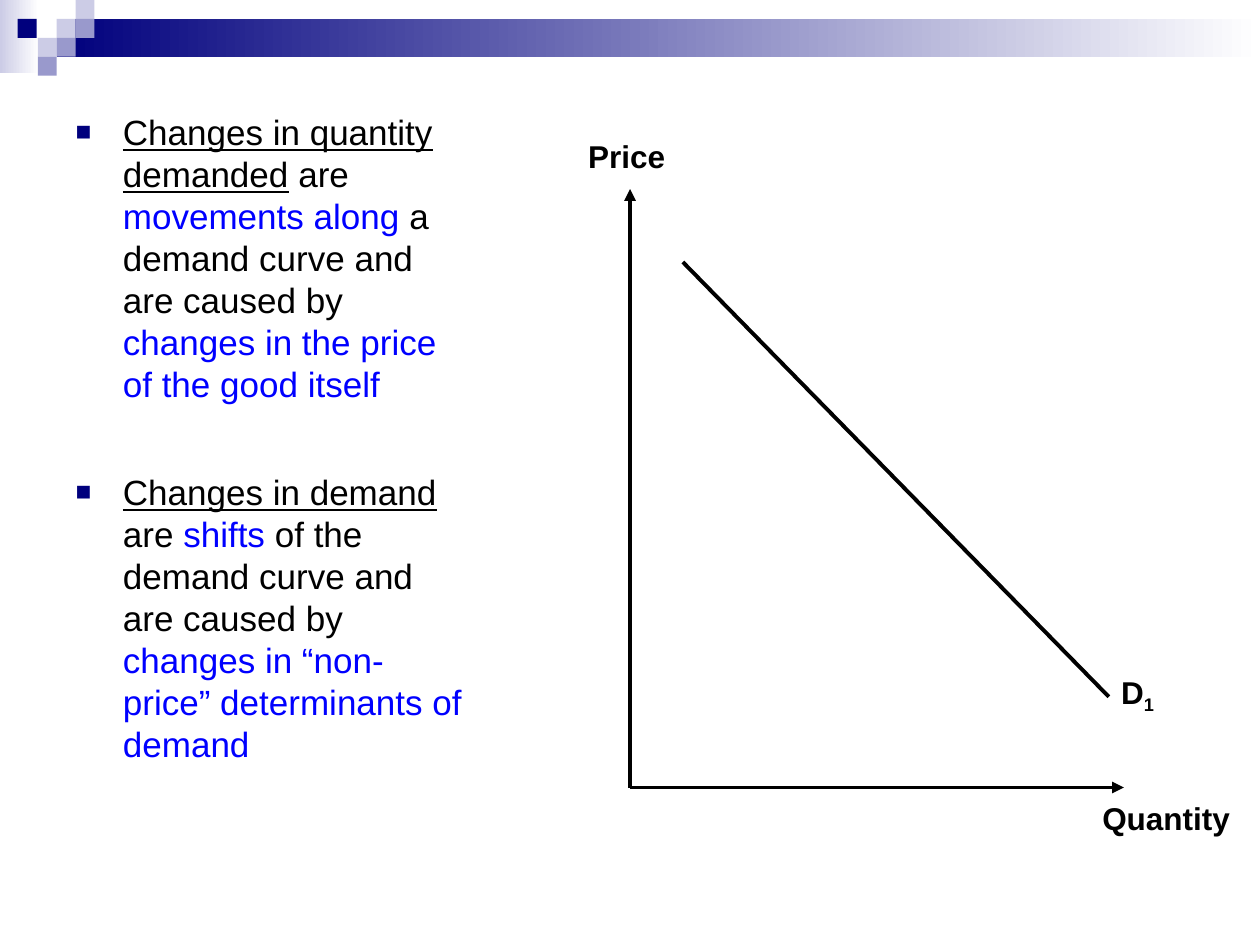
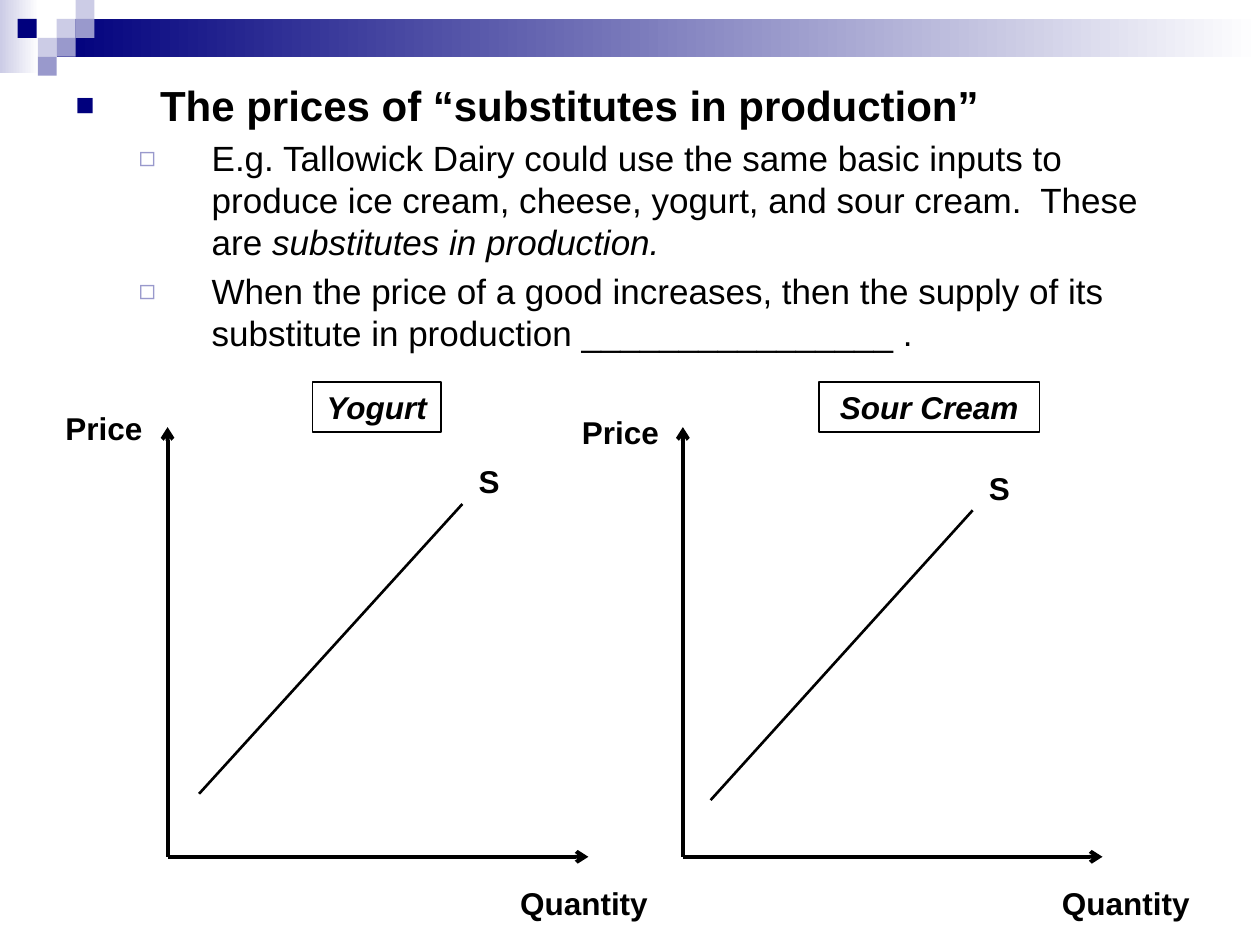
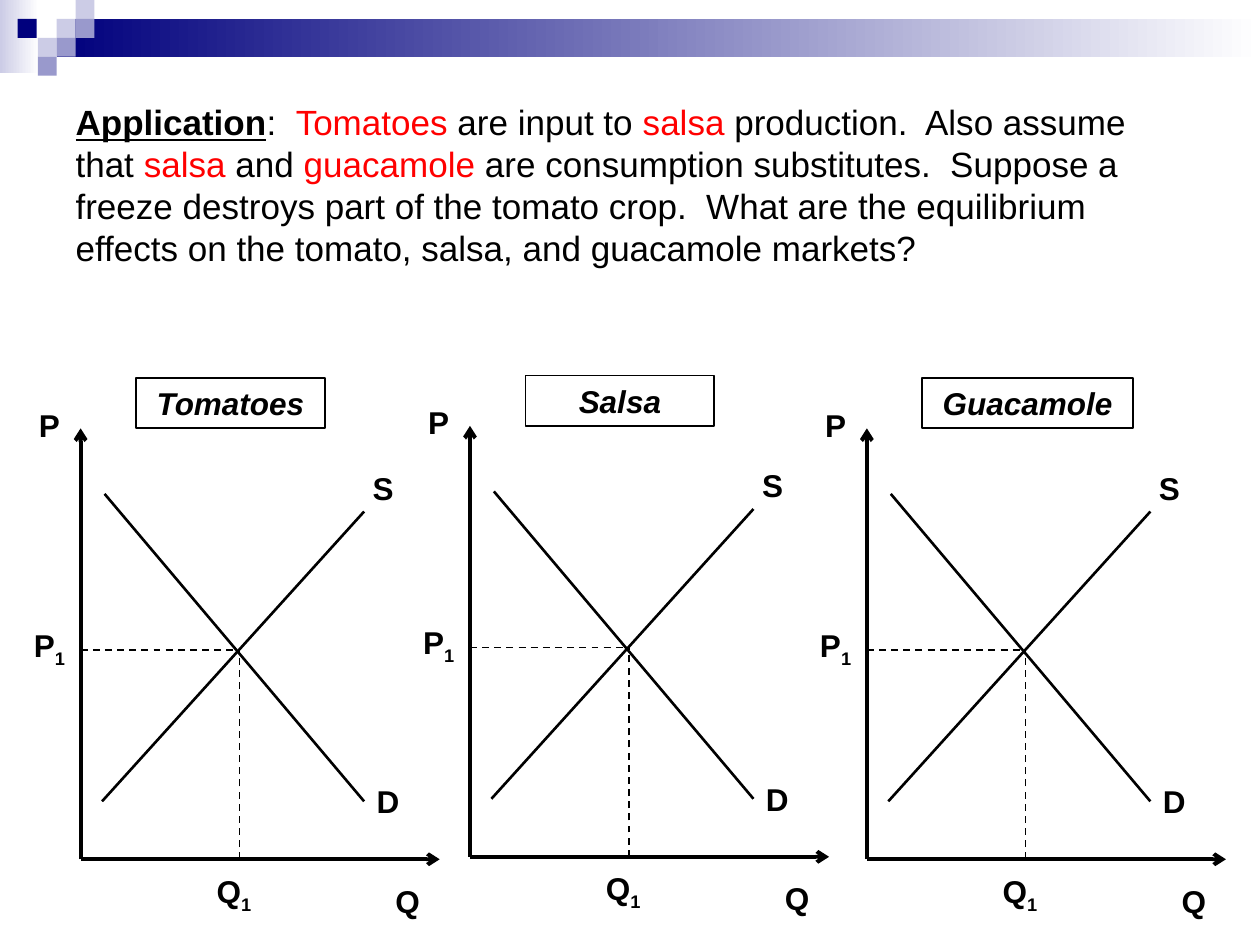
import dataclasses
import typing

import lxml.etree
import pptx
import pptx.dml.color
import pptx.enum.dml
import pptx.enum.shapes
import pptx.enum.text
import pptx.oxml.ns
import pptx.util

COLORS = {
    "ink": "000000", "navy": "00007D", "lilac": "9999CC", "mist": "CCCCE6",
    "paper": "FFFFFF", "blue": "0000FF", "red": "FF0000",
}
FONT = "Arial"
WIDTH, HEIGHT = pptx.util.Inches(10), pptx.util.Inches(7.5)
COLUMNS, ROWS = 100, 75
LEADING = 1.2
LABEL_SIZE = 18
LABEL_ROWS = 4
Point = tuple[float, float]


@dataclasses.dataclass(frozen=True)
class Tile:
    """A decorative rectangle of the layout; a second colour makes it fade."""
    left: float
    top: float
    width: float
    height: float
    color: str
    fade: str = ""


@dataclasses.dataclass(frozen=True)
class Span:
    """A piece of text with its colour and format values."""
    text: str
    color: str = "ink"
    formats: dict[str, bool] = dataclasses.field(default_factory=dict)


@dataclasses.dataclass(frozen=True)
class Bullet:
    """A bullet character with its colour and its share of the text size."""
    mark: str
    color: str
    percent: int


@dataclasses.dataclass(frozen=True)
class Item:
    """A paragraph of the body placeholder."""
    spans: list[Span]
    size: int = 20
    margin: float = 0
    hanging: float = 0
    before: float = 4
    bullet: typing.Optional[Bullet] = None


@dataclasses.dataclass(frozen=True)
class Label:
    """A bold label, placed relative to the origin of its graph."""
    text: str
    column: float
    row: float
    width: float
    subscript: str = ""
    caption: bool = False


@dataclasses.dataclass(frozen=True)
class Curve:
    """A line, placed relative to the origin of its graph."""
    start: Point
    end: Point
    weight: float = 1.5
    dashed: bool = False
    head: str = ""


@dataclasses.dataclass(frozen=True)
class Graph:
    """A pair of axes with curves and labels."""
    origin: Point
    across: float
    up: float
    head: str
    curves: list[Curve]
    labels: list[Label]


@dataclasses.dataclass(frozen=True)
class Lesson:
    """The content of one slide."""
    frame: tuple[float, float, float, float]
    items: list[Item]
    graphs: list[Graph]


SQUARES = [
    (4.5, 1.5, "mist"), (6, 0, "mist"), (6, 1.5, "lilac"), (3, 3, "mist"),
    (1.4, 1.5, "navy"), (4.5, 3, "lilac"), (3, 4.5, "lilac"),
]
TILES = [
    Tile(0, 0, 3.1, 5.8, "mist", "paper"),
    Tile(4.5, 1.5, 95.5, 3, "navy", "paper"),
    *(Tile(left, top, 1.5, 1.5, color) for left, top, color in SQUARES),
]
SOLID = Bullet("■", "navy", 75)
HOLLOW = Bullet("◻", "lilac", 80)
UNDERLINE = {"underline": True}
ITALIC = {"italic": True}
BOLD = {"bold": True}


def column(count: float) -> int:
    """Return the length of a number of grid columns."""
    return round(WIDTH * count / COLUMNS)


def row(count: float) -> int:
    """Return the length of a number of grid rows."""
    return round(HEIGHT * count / ROWS)


def rgb(name: str) -> pptx.dml.color.RGBColor:
    """Return a named colour."""
    return pptx.dml.color.RGBColor.from_string(COLORS[name])


def apply(target: typing.Any, formats: dict[str, typing.Any]) -> None:
    """Set each format value on the target."""
    for name, value in formats.items():
        setattr(target, name, value)


def child(parent: typing.Any, tag: str, **values: str) -> typing.Any:
    """Append a DrawingML element."""
    return lxml.etree.SubElement(parent, pptx.oxml.ns.qn(f"a:{tag}"), values)


def add_span(para: typing.Any, span: Span, size: int) -> typing.Any:
    """Add a formatted run to a paragraph."""
    run = para.add_run()
    run.text = span.text
    apply(run.font, {"name": FONT, "size": pptx.util.Pt(size), **span.formats})
    run.font.color.rgb = rgb(span.color)
    return run


def add_tile(page: typing.Any, tile: Tile) -> typing.Any:
    """Draw one decorative rectangle."""
    box = page.shapes.add_shape(
        pptx.enum.shapes.MSO_SHAPE.RECTANGLE,
        column(tile.left), row(tile.top), column(tile.width), row(tile.height))
    box.shadow.inherit = False
    box.line.fill.background()
    if tile.fade:
        box.fill.gradient()
        box.fill.gradient_angle = 0
        for stop, color in zip(box.fill.gradient_stops, (tile.color, tile.fade)):
            stop.color.rgb = rgb(color)
    else:
        box.fill.solid()
        box.fill.fore_color.rgb = rgb(tile.color)
    return box


def decorate_layout(page: typing.Any) -> None:
    """Place the tiles on the layout that all slides share."""
    tree = page.slide_layout.shapes.element
    for place, tile in enumerate(TILES, start=2):
        tree.insert(place, add_tile(page, tile).element)


def add_item(para: typing.Any, item: Item) -> None:
    """Format a body paragraph and fill it with its spans."""
    apply(para, {
        "line_spacing": pptx.util.Pt(item.size * LEADING),
        "space_before": pptx.util.Pt(item.before),
        "alignment": pptx.enum.text.PP_ALIGN.LEFT,
    })
    properties = para._p.get_or_add_pPr()
    properties.set("marL", str(column(item.margin)))
    properties.set("indent", str(-column(item.hanging)))
    if item.bullet:
        child(child(properties, "buClr"), "srgbClr", val=COLORS[item.bullet.color])
        child(properties, "buSzPct", val=str(item.bullet.percent * 1000))
        child(properties, "buFont", typeface=FONT)
        child(properties, "buChar", char=item.bullet.mark)
    else:
        child(properties, "buNone")
    for span in item.spans:
        add_span(para, span, item.size)


def fill_body(page: typing.Any, lesson: Lesson) -> None:
    """Move the body placeholder and write the items into it."""
    body = page.placeholders[1]
    left, top, width, height = lesson.frame
    apply(body, {"left": column(left), "top": row(top),
                 "width": column(width), "height": row(height)})
    frame = body.text_frame
    frame.auto_size = pptx.enum.text.MSO_AUTO_SIZE.NONE
    for index, item in enumerate(lesson.items):
        add_item(frame.add_paragraph() if index else frame.paragraphs[0], item)


def add_curve(page: typing.Any, origin: Point, curve: Curve) -> None:
    """Draw a line of a graph."""
    (x, y), (x1, y1), (x2, y2) = origin, curve.start, curve.end
    line = page.shapes.add_connector(
        pptx.enum.shapes.MSO_CONNECTOR.STRAIGHT,
        column(x + x1), row(y + y1), column(x + x2), row(y + y2))
    line.line.color.rgb = rgb("ink")
    line.line.width = pptx.util.Pt(curve.weight)
    if curve.dashed:
        line.line.dash_style = pptx.enum.dml.MSO_LINE.DASH
    if curve.head:
        child(line.line._get_or_add_ln(), "tailEnd", type=curve.head)
    child(line.element.spPr, "effectLst")


def add_label(page: typing.Any, origin: Point, label: Label) -> None:
    """Write a label, or a framed caption, of a graph."""
    place = (column(origin[0] + label.column), row(origin[1] + label.row),
             column(label.width), row(LABEL_ROWS))
    if label.caption:
        box = page.shapes.add_shape(pptx.enum.shapes.MSO_SHAPE.RECTANGLE, *place)
        box.shadow.inherit = False
        box.fill.background()
        box.line.color.rgb = rgb("ink")
        box.line.width = pptx.util.Pt(1)
    else:
        box = page.shapes.add_textbox(*place)
    apply(box.text_frame, {
        "word_wrap": True,
        "vertical_anchor": pptx.enum.text.MSO_ANCHOR.TOP,
        "margin_left": column(0.5 if label.caption else 1),
        "margin_right": column(0.5 if label.caption else 0),
    })
    para = box.text_frame.paragraphs[0]
    align = pptx.enum.text.PP_ALIGN
    apply(para, {
        "alignment": align.CENTER if label.caption else align.LEFT,
        "line_spacing": pptx.util.Pt(LABEL_SIZE * LEADING),
    })
    formats = {"bold": True, "italic": label.caption}
    add_span(para, Span(label.text, formats=formats), LABEL_SIZE)
    if label.subscript:
        run = add_span(para, Span(label.subscript, formats=formats), LABEL_SIZE)
        run._r.get_or_add_rPr().set("baseline", "-25000")


def add_graph(page: typing.Any, graph: Graph) -> None:
    """Draw the axes, curves and labels of a graph."""
    axes = [Curve((0, 0), end, 2.25, head=graph.head)
            for end in ((0, -graph.up), (graph.across, 0))]
    for curve in axes + graph.curves:
        add_curve(page, graph.origin, curve)
    for label in graph.labels:
        add_label(page, graph.origin, label)


def market(name: str, origin: Point, caption_width: float) -> Graph:
    """Return a supply and demand graph in equilibrium."""
    return Graph(origin, 28.5, 34.2, "arrow", [
        Curve((1.7, -4.6), (22.5, -27.6)),
        Curve((1.9, -29), (22.5, -4.6)),
        Curve((0, -16.6), (12.2, -16.6), 1, dashed=True),
        Curve((12.6, 0), (12.6, -16.6), 1, dashed=True),
    ], [
        Label("P", -4.3, -36.5, 4.2),
        Label("Q", 24, 1.3, 4.2),
        Label("S", 22.2, -31.5, 3.7),
        Label("D", 22.5, -6.6, 3.8),
        Label("P", -4.7, -18.6, 4.7, "1"),
        Label("Q", 9.8, 0.9, 5.5, "1"),
        Label(name, 4.4, -38.2, caption_width, caption=True),
    ])


DEMAND = Lesson((5, 8.3, 33.3, 61.7), [
    Item([
        Span("Changes in quantity demanded", formats=UNDERLINE),
        Span(" are "),
        Span("movements along ", "blue"),
        Span("a demand curve and are caused by "),
        Span("changes in the price of the good itself", "blue"),
    ], margin=3.75, hanging=3.75, bullet=SOLID),
    Item([
        Span("Changes in demand", formats=UNDERLINE),
        Span(" are "),
        Span("shifts", "blue"),
        Span(" of the demand curve and are caused by "),
        Span("changes in “non-price” determinants of demand", "blue"),
    ], margin=3.75, hanging=3.75, before=37.6, bullet=SOLID),
], [
    Graph((50, 62.5), 39.2, 47.5, "triangle",
          [Curve((4.2, -41.7), (38, -7.2), 2.25)],
          [Label("Price", -4.3, -52.1, 8.2),
           Label("Quantity", 36.5, 0.4, 12.3),
           Label("D", 38, -9.2, 4.7, "1")]),
])

SUBSTITUTES = Lesson((5, 5.8, 90, 61.7), [
    Item([Span("The prices of “substitutes in production”", formats=BOLD)],
         size=24, margin=6.7, hanging=6.7, bullet=SOLID),
    Item([
        Span("E.g. Tallowick Dairy could use the same basic inputs to produce "
             "ice cream, cheese, yogurt, and sour cream.  These are "),
        Span("substitutes in production.", formats=ITALIC),
    ], margin=10.8, hanging=5.8, bullet=HOLLOW),
    Item([Span("When the price of a good increases, then the supply of its "
               "substitute in production ________________ .")],
         margin=10.8, hanging=5.8, bullet=HOLLOW),
], [
    Graph((13.3, 68), 33.4, 34.1, "arrow",
          [Curve((2.5, -5), (23.4, -28))],
          [Label("Price", -9.1, -36, 9.2),
           Label("Quantity", 27, 1.7, 12.7),
           Label("S", 23.7, -31.8, 3.7),
           Label("Yogurt", 11.5, -37.7, 10.2, caption=True)]),
    Graph((54.2, 68), 33.3, 34.1, "arrow",
          [Curve((2.2, -4.5), (23, -27.5))],
          [Label("Price", -9, -35.7, 9.2),
           Label("Quantity", 29.1, 1.7, 12.7),
           Label("S", 23.3, -31.3, 3.7),
           Label("Sour Cream", 10.8, -37.7, 17.5, caption=True)]),
])

APPLICATION = Lesson((5, 7.5, 90, 63.3), [
    Item([
        Span("Application", formats=BOLD | UNDERLINE),
        Span(":  "),
        Span("Tomatoes", "red"),
        Span(" are input to "),
        Span("salsa", "red"),
        Span(" production.  Also assume that "),
        Span("salsa", "red"),
        Span(" and "),
        Span("guacamole", "red"),
        Span(" are consumption substitutes.  Suppose a freeze destroys part of "
             "the tomato crop.  What are the equilibrium effects on the tomato, "
             "salsa, and guacamole markets?"),
    ]),
], [
    market("Tomatoes", (6.4, 68.2), 15),
    market("Salsa", (37.3, 68), 15),
    market("Guacamole", (68.8, 68.2), 16.7),
])


def main() -> None:
    """Build the deck and save it."""
    deck = pptx.Presentation()
    apply(deck, {"slide_width": WIDTH, "slide_height": HEIGHT})
    for index, lesson in enumerate((DEMAND, SUBSTITUTES, APPLICATION)):
        page = deck.slides.add_slide(deck.slide_layouts[1])
        if index == 0:
            decorate_layout(page)
        title = page.shapes.title.element
        title.getparent().remove(title)
        fill_body(page, lesson)
        for graph in lesson.graphs:
            add_graph(page, graph)
    deck.save("out.pptx")


if __name__ == "__main__":
    main()
